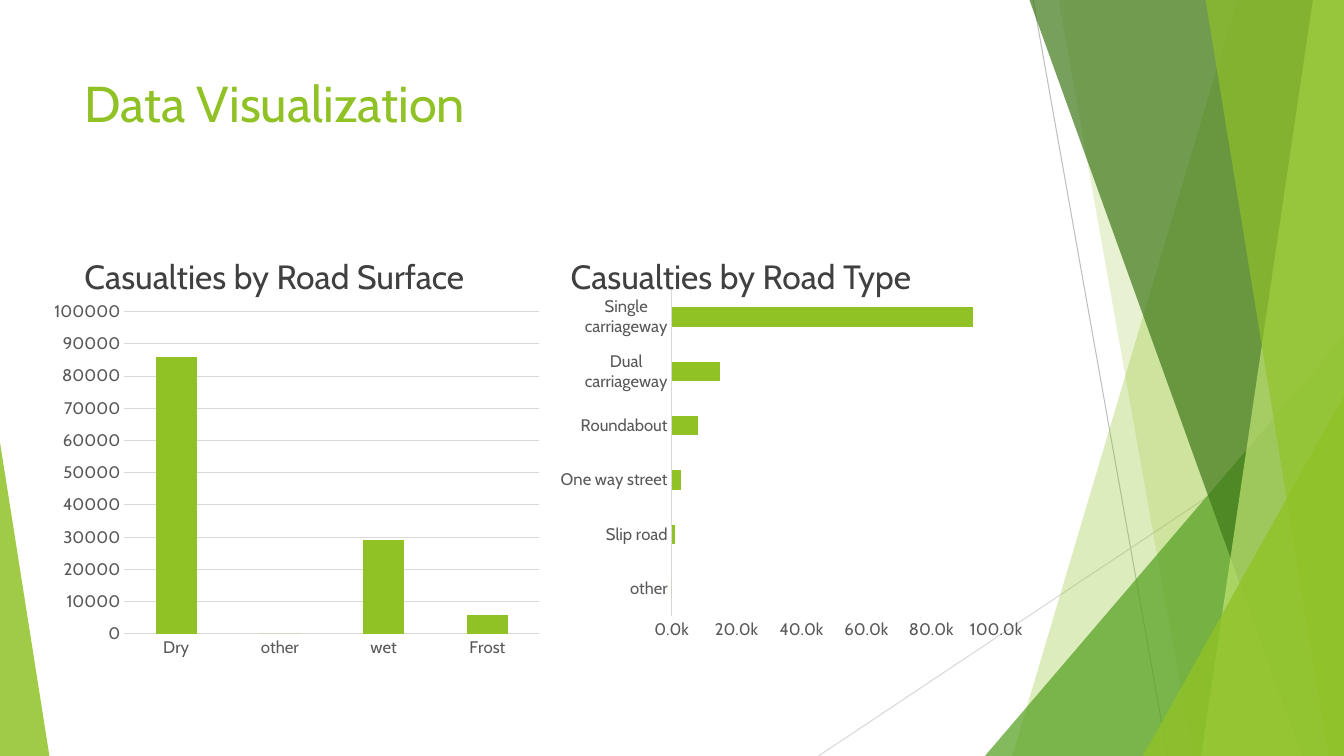
from pptx import Presentation
from pptx.chart.data import CategoryChartData
from pptx.dml.color import RGBColor
from pptx.enum.chart import XL_CHART_TYPE, XL_TICK_MARK
from pptx.enum.shapes import MSO_CONNECTOR, MSO_SHAPE
from pptx.enum.text import MSO_ANCHOR
from pptx.oxml.ns import qn
from pptx.util import Pt
from lxml import etree

COLUMN, BAR = XL_CHART_TYPE.COLUMN_STACKED, XL_CHART_TYPE.BAR_CLUSTERED
NO_TICK = XL_TICK_MARK.NONE
STRAIGHT = MSO_CONNECTOR.STRAIGHT
TRIANGLE = MSO_SHAPE.ISOSCELES_TRIANGLE
TOP, BOTTOM = MSO_ANCHOR.TOP, MSO_ANCHOR.BOTTOM

LIME = RGBColor(0x90, 0xC2, 0x26)
GREEN = RGBColor(0x54, 0xA0, 0x21)
FOREST = RGBColor(0x3F, 0x78, 0x19)
PALE_LIME = RGBColor(0xC0, 0xE4, 0x74)
HEADING_GREY = RGBColor(0x40, 0x40, 0x40)
LABEL_GREY = RGBColor(0x59, 0x59, 0x59)
MID_GREY = RGBColor(0xBF, 0xBF, 0xBF)
LIGHT_GREY = RGBColor(0xD9, 0xD9, 0xD9)
BLACK = RGBColor(0, 0, 0)

FONT = "Cabin"
WIDTH, HEIGHT = 960, 540
FACET_TOP = -0.6

ROAD_SURFACE = {"Dry": 86000, "other": 0, "wet": 29000, "Frost": 6000}
ROAD_TYPE = {
    "other": 0,
    "Slip road": 1000,
    "One way street": 3000,
    "Roundabout": 8000,
    "Dual carriageway": 15000,
    "Single carriageway": 93000,
}


def apply_format(target, values):
    for name, value in values.items():
        setattr(target, name, value)


def style_font(font, size, color):
    apply_format(font, {"name": FONT, "size": Pt(size)})
    font.color.rgb = color


def style_line(line, color):
    line.color.rgb = color
    line.width = Pt(0.75)


def add_line(slide, start, end, color):
    line = slide.shapes.add_connector(STRAIGHT, *map(Pt, start + end))
    style_line(line.line, color)
    etree.SubElement(line.element.spPr, qn("a:effectLst"))


def fill_facet(shape, color, opacity):
    shape.shadow.inherit = False
    shape.fill.solid()
    shape.fill.fore_color.rgb = color
    shape.line.fill.background()
    color_node = shape.element.spPr.find(".//" + qn("a:srgbClr"))
    etree.SubElement(color_node, qn("a:alpha")).set("val", str(opacity * 1000))


def add_facet(slide, top_left, bottom_left, color, opacity):
    builder = slide.shapes.build_freeform(top_left, FACET_TOP, scale=Pt(1))
    builder.add_line_segments(
        [(WIDTH, FACET_TOP), (WIDTH, HEIGHT), (bottom_left, HEIGHT)]
    )
    fill_facet(builder.convert_to_shape(), color, opacity)


def add_corner(slide, left, top, width, apex, color, opacity):
    corner = slide.shapes.add_shape(
        TRIANGLE, Pt(left), Pt(top), Pt(width), Pt(HEIGHT - top)
    )
    corner.adjustments[0] = apex
    fill_facet(corner, color, opacity)


def add_backdrop(slide):
    add_line(slide, (738, 0), (834, HEIGHT), MID_GREY)
    add_line(slide, (WIDTH, 290), (584.6, HEIGHT), LIGHT_GREY)
    add_facet(slide, 884.2, 722.9, LIME, 30)
    add_facet(slide, 756, 851.8, LIME, 20)
    add_corner(slide, 703.5, 240, 256.5, 1, GREEN, 72)
    add_facet(slide, 735.1, 929.5, FOREST, 70)
    add_facet(slide, 938.2, 858.2, PALE_LIME, 70)
    add_facet(slide, 861.1, 949, LIME, 65)
    add_corner(slide, 816.5, 283, 143.5, 1, LIME, 80)
    add_corner(slide, 0, 316, 35.3, 0, LIME, 85)


def add_text(slide, text, bounds, size, color, anchor):
    box = slide.shapes.add_textbox(*map(Pt, bounds))
    apply_format(box.text_frame, {"word_wrap": True, "vertical_anchor": anchor})
    span = box.text_frame.paragraphs[0].add_run()
    span.text = text
    style_font(span.font, size, color)


def add_bars(slide, kind, values, bounds, gap, overlap, number_format):
    data = CategoryChartData()
    data.categories = list(values)
    data.add_series("Series 1", list(values.values()))
    chart = slide.shapes.add_chart(kind, *map(Pt, bounds), data).chart
    apply_format(chart, {"has_title": False, "has_legend": False})
    style_font(chart.font, 10, BLACK)

    plot = chart.plots[0]
    apply_format(
        plot, {"gap_width": gap, "overlap": overlap, "vary_by_categories": False}
    )
    bars = plot.series[0].format.fill
    bars.solid()
    bars.fore_color.rgb = LIME

    for axis in (chart.category_axis, chart.value_axis):
        apply_format(
            axis,
            {
                "major_tick_mark": NO_TICK,
                "minor_tick_mark": NO_TICK,
                "has_major_gridlines": False,
            },
        )
        style_font(axis.tick_labels.font, 12, LABEL_GREY)
    style_line(chart.category_axis.format.line, LIGHT_GREY)

    scale = chart.value_axis
    apply_format(scale, {"minimum_scale": 0, "maximum_scale": 100000})
    scale.format.line.fill.background()
    apply_format(
        scale.tick_labels,
        {"number_format": number_format, "number_format_is_linked": False},
    )
    return chart


def place_plot(chart, fractions):
    area = chart.element.find(".//" + qn("c:plotArea"))
    layout = area.find(qn("c:layout"))
    if layout is None:
        layout = etree.Element(qn("c:layout"))
        area.insert(0, layout)
    manual = etree.SubElement(layout, qn("c:manualLayout"))
    settings = {"layoutTarget": "inner", "xMode": "edge", "yMode": "edge"}
    settings.update(zip("xywh", map(str, fractions)))
    for name, value in settings.items():
        etree.SubElement(manual, qn("c:" + name)).set("val", value)


def main():
    deck = Presentation()
    apply_format(deck, {"slide_width": Pt(WIDTH), "slide_height": Pt(HEIGHT)})
    page = deck.slides.add_slide(deck.slide_layouts[6])
    add_backdrop(page)
    add_text(page, "Data Visualization", (53.3, 48, 677, 104), 36, LIME, TOP)
    headings = {"Casualties by Road Surface": 53.3, "Casualties by Road Type": 400.5}
    for heading, left in headings.items():
        add_text(page, heading, (left, 170, 330, 45.4), 24, HEADING_GREY, BOTTOM)

    surface = add_bars(
        page, COLUMN, ROAD_SURFACE, (31.7, 210.2, 360.7, 265), 150, 100, "General"
    )
    surface.value_axis.has_major_gridlines = True
    style_line(surface.value_axis.major_gridlines.format.line, LIGHT_GREY)

    road_type = add_bars(
        page, BAR, ROAD_TYPE, (400.5, 198.7, 329.8, 277.2), 182, 0, '0.0,"k"'
    )
    place_plot(road_type, (0.24, 0.03, 0.71, 0.84))
    deck.save("out.pptx")


if __name__ == "__main__":
    main()
